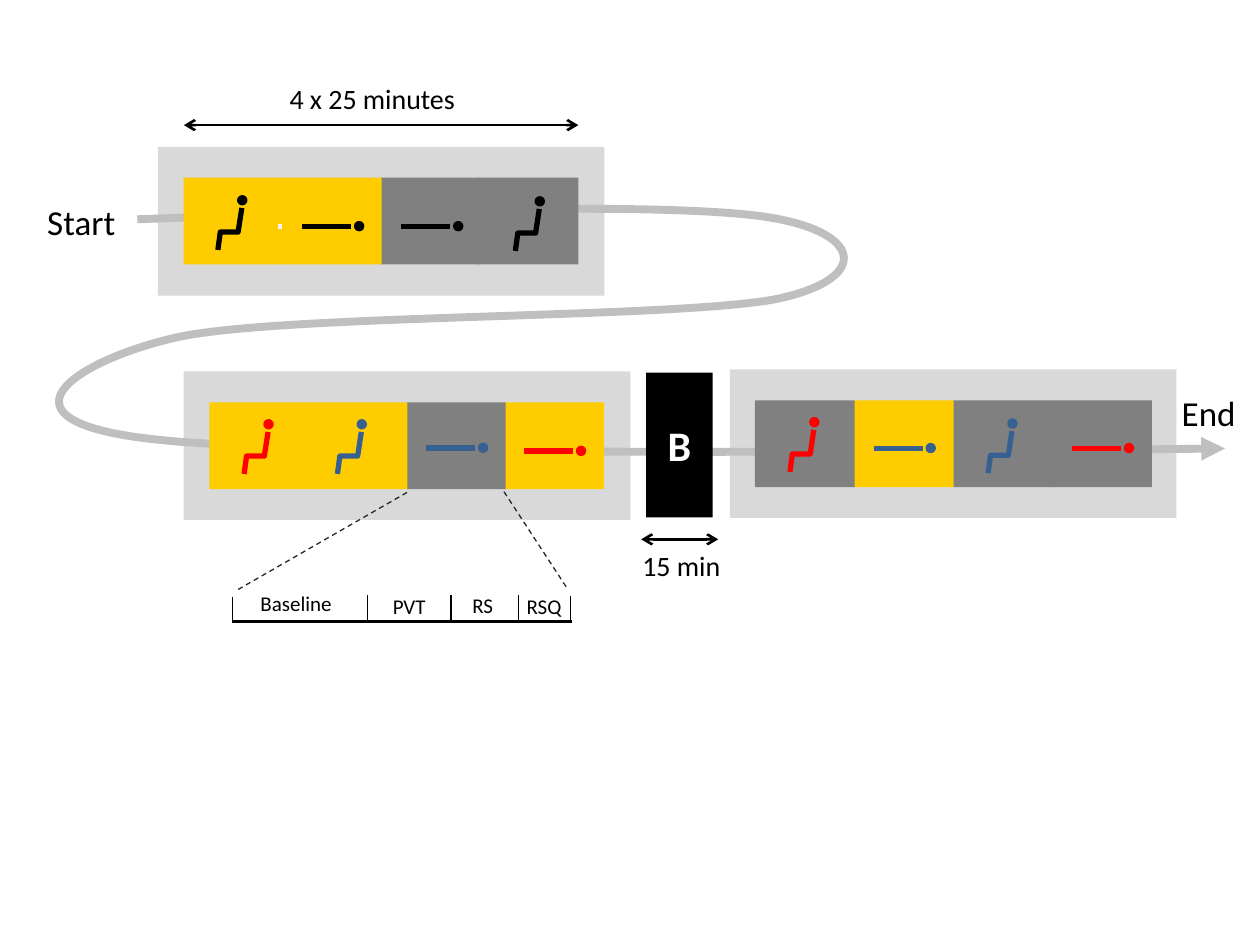
from dataclasses import dataclass
from lxml.etree import SubElement
from pptx import Presentation
from pptx.dml.color import RGBColor
from pptx.enum.dml import MSO_LINE
from pptx.enum.shapes import MSO_CONNECTOR, MSO_SHAPE
from pptx.enum.text import MSO_ANCHOR, MSO_AUTO_SIZE, PP_ALIGN
from pptx.oxml.ns import qn
from pptx.util import Pt


@dataclass(frozen=True)
class Theme:
    font: str = "Calibri"
    black: str = "000000"
    white: str = "FFFFFF"
    panel: str = "D9D9D9"
    trail: str = "BFBFBF"
    light: str = "FFCC00"
    dark: str = "808080"
    red: str = "FF0000"
    blue: str = "376092"
    dash: str = "262626"
    spot: str = "F2F2F2"
    small: int = 12
    mid: int = 16
    large: int = 20
    huge: int = 24


class Board:
    def __init__(self, slide, theme):
        self.shapes = slide.shapes
        self.theme = theme

    def pen(self, item, color, width):
        item.line.color.rgb = RGBColor.from_string(color)
        item.line.width = Pt(width)

    def tips(self, item, **ends):
        for end, kind in ends.items():
            SubElement(item.line._get_or_add_ln(), qn(f"a:{end}End"), type=kind)

    def block(self, x, y, wide, high, color, kind=MSO_SHAPE.RECTANGLE):
        item = self.shapes.add_shape(kind, Pt(x), Pt(y), Pt(wide), Pt(high))
        item.shadow.inherit = False
        item.fill.solid()
        item.fill.fore_color.rgb = RGBColor.from_string(color)
        item.line.fill.background()
        return item

    def words(self, item, text, size, color, bold=False):
        run = item.text_frame.paragraphs[0].add_run()
        run.text = text
        run.font.name = self.theme.font
        run.font.size = Pt(size)
        run.font.bold = bold
        run.font.color.rgb = RGBColor.from_string(color)

    def label(self, text, x, y, wide, high, size):
        item = self.shapes.add_textbox(Pt(x), Pt(y), Pt(wide), Pt(high))
        item.text_frame.word_wrap = False
        item.text_frame.auto_size = MSO_AUTO_SIZE.SHAPE_TO_FIT_TEXT
        self.words(item, text, size, self.theme.black)

    def line(self, x1, y1, x2, y2, color, width, dash=False, **ends):
        item = self.shapes.add_connector(
            MSO_CONNECTOR.STRAIGHT, Pt(x1), Pt(y1), Pt(x2), Pt(y2))
        self.pen(item, color, width)
        if dash:
            item.line.dash_style = MSO_LINE.DASH
        self.tips(item, **ends)
        SubElement(item._element.spPr, qn("a:effectLst"))

    def stroke(self, points, color, width):
        spots = [(Pt(x), Pt(y)) for x, y in points]
        form = self.shapes.build_freeform(*spots[0])
        form.add_line_segments(spots[1:], close=False)
        item = form.convert_to_shape()
        item.shadow.inherit = False
        item.fill.background()
        self.pen(item, color, width)
        return item

    def curve(self, box, start, bends, color, width):
        left, top, wide, high = box
        item = self.stroke([(left, top), (left + wide, top + high)], color, width)
        track = item._element.xpath(".//a:pathLst/*")[0]
        for step in list(track):
            track.remove(step)
        for tag, points in [("moveTo", [start])] + [("cubicBezTo", b) for b in bends]:
            step = SubElement(track, qn(f"a:{tag}"))
            for x, y in points:
                SubElement(step, qn("a:pt"), x=str(Pt(x - left)), y=str(Pt(y - top)))
        self.tips(item, tail="triangle")

    def head(self, x, y, color):
        item = self.block(x, y, 3.9, 3.9, color, MSO_SHAPE.OVAL)
        self.pen(item, color, 2)

    def sit(self, x, y, color):
        pose = [(0, 24), (1.4, 13.8), (11.6, 13.8), (13.7, 0)]
        self.stroke([(x + dx, y + dy) for dx, dy in pose], color, 3)
        self.head(x + 12, y - 6.3, color)

    def lie(self, x, y, color):
        self.line(x, y, x + 28.2, y, color, 3)
        self.head(x + 30.7, y - 2.1, color)

    def row(self, x, y, pitch, fills):
        for col, fill in reversed(list(enumerate(fills))):
            self.block(x + col * pitch, y, 57, 49.6, fill)


def main():
    deck = Presentation()
    deck.slide_width, deck.slide_height = Pt(720), Pt(540)
    theme = Theme()
    board = Board(deck.slides.add_slide(deck.slide_layouts[6]), theme)
    black, red, blue = theme.black, theme.red, theme.blue
    light, dark = theme.light, theme.dark

    for x, y in [(90.2, 84), (417, 211), (105, 212.2)]:
        board.block(x, y, 255.2, 84.9, theme.panel)

    board.curve(
        (33.8, 119.5, 666.4, 138.2), (78.5, 125.3),
        [[(223.9, 120.2), (370.1, 115.9), (431.3, 123.1)],
         [(492.5, 130.3), (500.4, 158.4), (445, 170.6)],
         [(389.5, 182.2), (159.1, 179.3), (100.1, 193)],
         [(41, 206.6), (-9.4, 241.2), (90.7, 251.3)],
         [(190.8, 262.1), (700, 256.3), (700, 256.3)]],
        theme.trail, 4.5)

    board.row(104.9, 101.5, 56.2, [light, light, dark, dark])
    board.row(119.6, 229.9, 56.2, [light, light, dark, light])
    board.row(431.4, 228.8, 56.6, [dark, light, dark, dark])

    board.line(158.6, 129.4, 161.2, 129.4, theme.spot, 3)
    for x, y, color in [
        (124.5, 118.8, black), (294.5, 119.4, black), (139.5, 246.8, red),
        (192.8, 246.8, blue), (451.4, 245.6, red), (564.6, 246.4, blue),
    ]:
        board.sit(x, y, color)
    for x, y, color in [
        (172.6, 129.4, black), (229.2, 129.4, black), (243.4, 256, blue),
        (299.4, 257.8, red), (499.2, 256.2, blue), (612.5, 256.2, red),
    ]:
        board.lie(x, y, color)

    board.line(105.1, 71.5, 330.5, 71.5, black, 1.5, head="arrow", tail="arrow")
    board.label("4 x 25 minutes", 158.4, 42.8, 110.2, 26.6, theme.mid)
    board.label("Start", 19.9, 111.2, 54, 31.5, theme.large)
    board.label("End", 668.2, 219.9, 45.4, 31.5, theme.large)

    pause = board.block(369.2, 212.9, 38, 82.8, black)
    pause.text_frame.vertical_anchor = MSO_ANCHOR.MIDDLE
    pause.text_frame.paragraphs[0].alignment = PP_ALIGN.CENTER
    board.words(pause, "B", theme.huge, theme.white, True)
    board.line(366.4, 308.2, 410.4, 308.2, black, 1.5, head="arrow", tail="arrow")
    board.label("15 min", 360, 309.9, 59.8, 26.6, theme.mid)

    board.line(132.5, 355, 327, 355, black, 1.5)
    for x, y in [(133, 355.7), (210.2, 354.5), (257.7, 354.5), (296.2, 354.5), (326.2, 355)]:
        board.line(x, y, x, y - 14.4, black, 0.75)
    for text, x, y, wide in [
        ("Baseline", 141.8, 334.2, 55.4), ("PVT", 217.4, 335.7, 33.8),
        ("RS", 262.8, 335, 26.6), ("RSQ", 293.8, 335.7, 34.6),
    ]:
        board.label(text, x, y, wide, 21.6, theme.small)
    board.line(232.6, 281.4, 134.8, 337.6, theme.dash, 0.75, dash=True)
    board.line(288, 281, 324.6, 337, theme.dash, 0.75, dash=True)

    deck.save("out.pptx")


if __name__ == "__main__":
    main()
